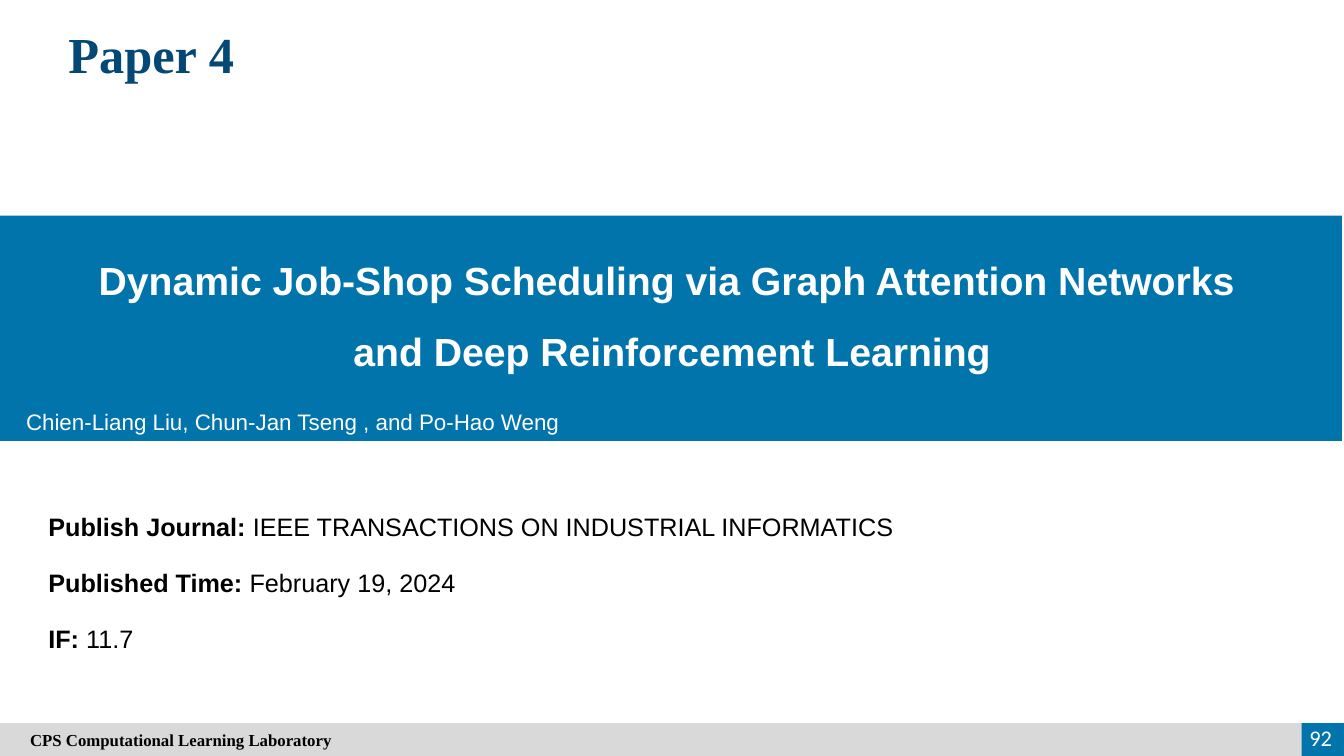
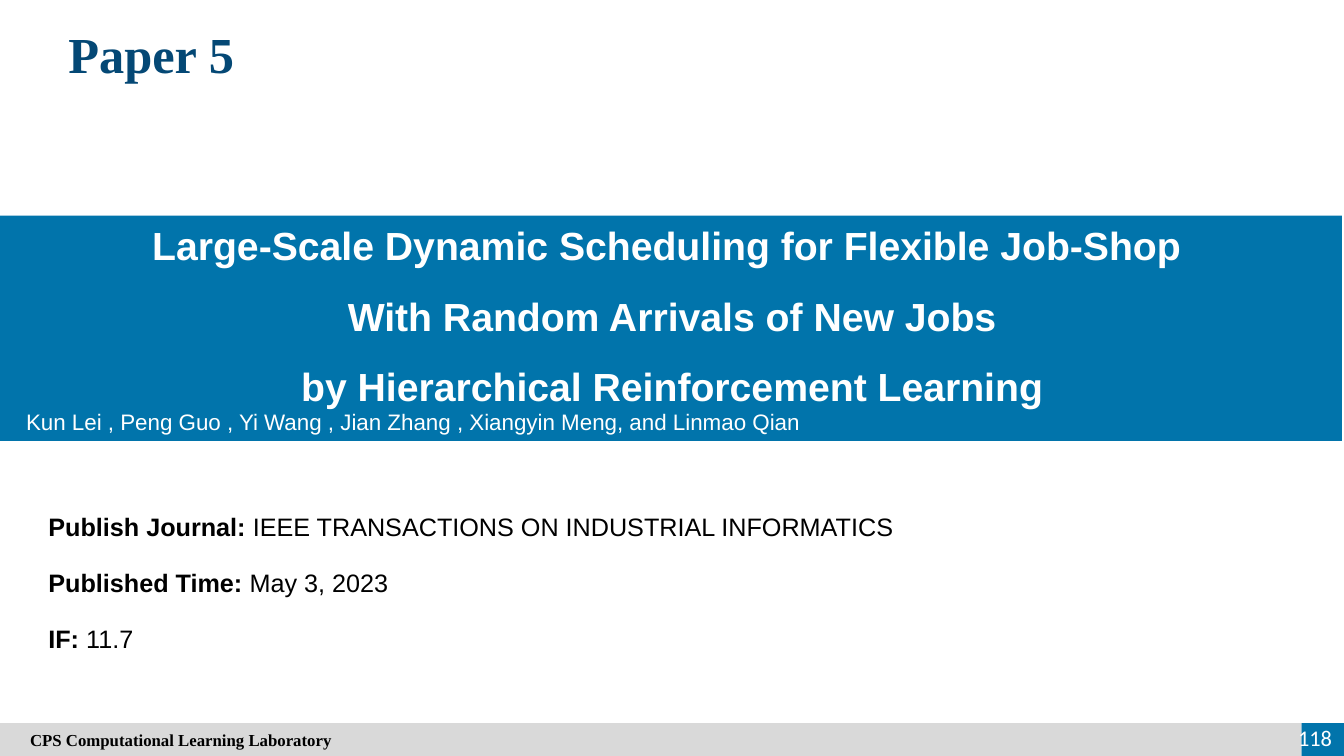
from pptx import Presentation
from pptx.dml.color import RGBColor as Rgb
from pptx.enum.shapes import MSO_SHAPE as Kind
from pptx.enum.text import MSO_ANCHOR as Anchor, PP_ALIGN as Align
from pptx.util import Pt

# Shared style
COLORS = {"blue": "0174AB", "navy": "044875", "gray": "D9D9D9",
          "white": "FFFFFF", "black": "000000"}
SANS, SERIF, NUMBER = "Arial", "Times New Roman", "Calibri"
WIDE, HIGH = 960, 540
FOOT_TOP, FOOT_WIDE = 516.5, 929.5
FACT_TOP, FACT_STEP = 362, 39.75

# Content
PAPERS = [
    {"title": "Paper 4", "page": "92",
     "name": ["Dynamic Job-Shop Scheduling via Graph Attention Networks ",
              "and Deep Reinforcement Learning"],
     "authors": "Chien-Liang Liu, Chun-Jan Tseng , and Po-Hao Weng",
     "date": "February 19, 2024"},
    {"title": "Paper 5", "page": "118",
     "name": ["Large-Scale Dynamic Scheduling for Flexible Job-Shop ",
              "With Random Arrivals of New Jobs",
              "by Hierarchical Reinforcement Learning"],
     "authors": "Kun Lei , Peng Guo , Yi Wang , Jian Zhang , Xiangyin Meng, "
                "and Linmao Qian",
     "date": "May 3, 2023"},
]
JOURNAL, IMPACT = "IEEE TRANSACTIONS ON INDUSTRIAL INFORMATICS", "11.7"


def style(font, size, face, color, bold=None):
    font.size, font.name, font.bold = Pt(size), face, bold
    font.color.rgb = Rgb.from_string(COLORS[color])


def bar(slide, left, top, width, height, color):
    shape = slide.shapes.add_shape(Kind.RECTANGLE, Pt(left), Pt(top),
                                   Pt(width), Pt(height))
    shape.shadow.inherit = False
    shape.fill.solid()
    shape.fill.fore_color.rgb = Rgb.from_string(COLORS[color])
    shape.line.fill.background()
    return shape


def box(slide, left, top, width, height, anchor=Anchor.TOP):
    frame = slide.shapes.add_textbox(Pt(left), Pt(top), Pt(width),
                                     Pt(height)).text_frame
    frame.word_wrap = True
    frame.vertical_anchor = anchor
    return frame


def write(frame, lines, size, face, color, bold=False, align=Align.LEFT,
          space=1.0):
    for i, line in enumerate(lines):
        para = frame.paragraphs[0] if i == 0 else frame.add_paragraph()
        para.text = line
        para.alignment, para.line_spacing = align, space
        style(para.font, size, face, color, bold)


def fact(slide, row, label, value):
    frame = box(slide, 27.5, FACT_TOP + row * FACT_STEP, 720, 29)
    para = frame.paragraphs[0]
    style(para.font, 18, SANS, "black")
    for text, bold in ((label, True), (" " + value, False)):
        run = para.add_run()
        run.text, run.font.bold = text, bold


def footer(slide, page):
    bar(slide, FOOT_WIDE, FOOT_TOP, WIDE - FOOT_WIDE, HIGH - FOOT_TOP, "blue")
    strip = bar(slide, 0, FOOT_TOP, FOOT_WIDE, HIGH - FOOT_TOP, "gray")
    frame = strip.text_frame
    frame.margin_left = Pt(21.5)
    frame.vertical_anchor = Anchor.MIDDLE
    write(frame, ["CPS Computational Learning Laboratory"], 12, SERIF,
          "black", True)
    write(box(slide, 913.5, 513.5, 45, 29 - 2.5, Anchor.MIDDLE), [page], 16,
          NUMBER, "white", align=Align.RIGHT)


def cover(slide, paper):
    # Title
    write(box(slide, 27, 13, 162, 51), [paper["title"]], 36, SERIF, "navy",
          True, Align.CENTER)

    # Band with paper name and authors
    bar(slide, 0, 154, 958.5, 161, "blue")
    write(box(slide, 0, 140, WIDE, 154, Anchor.MIDDLE), paper["name"], 28,
          SANS, "white", True, Align.CENTER, 1.5)
    write(box(slide, 11.5, 288, 940, 27), [paper["authors"]], 16, SANS,
          "white")

    # Publication facts
    facts = [("Publish Journal:", JOURNAL),
             ("Published Time:", paper["date"]),
             ("IF:", IMPACT)]
    for row, (label, value) in enumerate(facts):
        fact(slide, row, label, value)

    footer(slide, paper["page"])


def main():
    deck = Presentation()
    deck.slide_width, deck.slide_height = Pt(WIDE), Pt(HIGH)
    for paper in PAPERS:
        cover(deck.slides.add_slide(deck.slide_layouts[6]), paper)
    deck.save("out.pptx")


if __name__ == "__main__":
    main()
